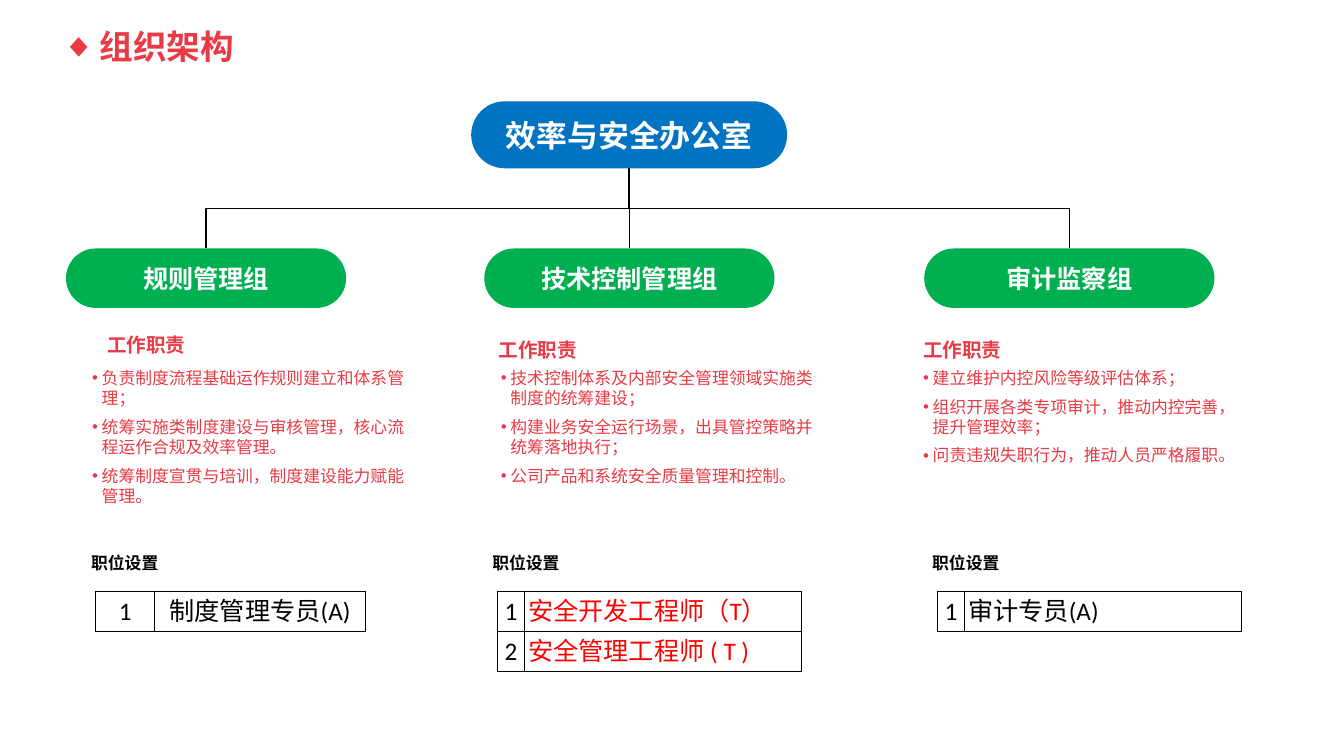
from dataclasses import dataclass

from pptx import Presentation
from pptx.dml.color import RGBColor
from pptx.enum.shapes import MSO_CONNECTOR, MSO_SHAPE
from pptx.enum.text import MSO_ANCHOR, MSO_AUTO_SIZE, PP_ALIGN
from pptx.oxml.ns import qn
from pptx.util import Inches, Pt
from lxml.etree import SubElement


@dataclass(frozen=True)
class Theme:
    latin: str = "Calibri"
    chinese: str = "Noto Sans CJK SC"
    accent: str = "E83B45"
    office: str = "0173C3"
    team: str = "00B050"
    white: str = "FFFFFF"
    black: str = "000000"
    highlight: str = "FF0000"
    title: int = 48
    office_size: int = 44
    team_size: int = 36
    heading: int = 28
    body: int = 24


@dataclass(frozen=True)
class Team:
    name: str
    left: float
    width: float
    heading: dict
    duties_box: tuple
    duties: list
    positions_left: float
    table_left: float
    columns: tuple
    positions: list
    position_format: dict


THEME = Theme()


def write(frame, lines, size, color, font=THEME.latin, bold=False,
          align=PP_ALIGN.LEFT, bullet=None, indent=0, gap=0, spacing=None):
    """Fill a text frame with one paragraph per line."""
    for index, line in enumerate(lines):
        paragraph = frame.paragraphs[0] if index == 0 else frame.add_paragraph()
        paragraph.alignment = align
        if spacing:
            paragraph.line_spacing = spacing
        if gap:
            paragraph.space_before = Pt(gap if index else 0)
            paragraph.space_after = Pt(gap)
        if bullet:
            properties = paragraph._p.get_or_add_pPr()
            properties.set("marL", str(Inches(indent)))
            properties.set("indent", str(-Inches(indent)))
            SubElement(properties, qn("a:buFont"), typeface="Arial")
            SubElement(properties, qn("a:buChar"), char=bullet)
        run = paragraph.add_run()
        run.text = line
        run.font.size = Pt(size)
        run.font.bold = bold
        run.font.name = font
        run.font.color.rgb = RGBColor.from_string(color)
        SubElement(run._r.get_or_add_rPr(), qn("a:ea"), typeface=font)


class Chart:
    """Draws the parts of an organisation chart on one slide."""

    def __init__(self, slide, theme):
        self.slide = slide
        self.theme = theme

    def label(self, left, top, width, height, lines, wrap=True,
              anchor=MSO_ANCHOR.TOP, inset=0.05, grow=True, **text_format):
        frame = self.slide.shapes.add_textbox(
            Inches(left), Inches(top), Inches(width), Inches(height)).text_frame
        frame.word_wrap = wrap
        frame.vertical_anchor = anchor
        frame.margin_top = frame.margin_bottom = Inches(inset)
        frame.auto_size = MSO_AUTO_SIZE.SHAPE_TO_FIT_TEXT if grow else MSO_AUTO_SIZE.NONE
        write(frame, lines, **text_format)

    def pill(self, left, top, width, height, name, fill, **text_format):
        pill = self.slide.shapes.add_shape(
            MSO_SHAPE.ROUNDED_RECTANGLE,
            Inches(left), Inches(top), Inches(width), Inches(height))
        pill.adjustments[0] = 0.5
        pill.shadow.inherit = False
        pill.fill.solid()
        pill.fill.fore_color.rgb = RGBColor.from_string(fill)
        pill.line.fill.background()
        pill.text_frame.vertical_anchor = MSO_ANCHOR.MIDDLE
        write(pill.text_frame, [name], color=self.theme.white, bold=True,
              align=PP_ALIGN.CENTER, **text_format)
        return pill

    def branch(self, parent, child):
        """Join the parent's bottom to the child's top: down, across, down."""
        line = self.slide.shapes.add_connector(MSO_CONNECTOR.ELBOW, 0, 0, 0, 0)
        line.begin_connect(parent, 2)
        line.end_connect(child, 0)
        start = parent.left + parent.width // 2
        end = child.left + child.width // 2
        top = parent.top + parent.height
        drop, span = child.top - top, abs(end - start)
        # An elbow leaves sideways, so its frame is turned by a quarter.
        line.left = (start + end - drop) // 2
        line.top = top + (drop - span) // 2
        line.width, line.height = drop, span
        frame = line._element.spPr.find(qn("a:xfrm"))
        frame.set("rot", str((90 if end < start else 270) * 60000))
        frame.set("flipH", "0" if end < start else "1")
        line.line.width = Pt(2)
        line.line.color.rgb = RGBColor.from_string(self.theme.black)
        SubElement(line._element.spPr, qn("a:effectLst"))

    def position_table(self, left, top, columns, positions, row_height=0.79, **name_format):
        table = self.slide.shapes.add_table(
            len(positions), len(columns), Inches(left), Inches(top),
            Inches(sum(columns)), Inches(row_height * len(positions))).table
        table.first_row = table.horz_banding = False
        for column, width in zip(table.columns, columns):
            column.width = Inches(width)
        number_format = dict(color=self.theme.black, align=PP_ALIGN.CENTER)
        for number, name in enumerate(positions, 1):
            table.rows[number - 1].height = Inches(row_height)
            for column, (text, text_format) in enumerate(
                    [(str(number), number_format), (name, name_format)]):
                cell = table.cell(number - 1, column)
                self.border(cell)
                cell.fill.background()
                cell.vertical_anchor = MSO_ANCHOR.MIDDLE
                cell.margin_left = cell.margin_right = Inches(0.07)
                cell.margin_top = cell.margin_bottom = Inches(0.05)
                write(cell.text_frame, [text], size=self.theme.team_size, **text_format)

    def border(self, cell):
        properties = cell._tc.get_or_add_tcPr()
        for side in ("lnL", "lnR", "lnT", "lnB"):
            edge = SubElement(properties, qn(f"a:{side}"), w=str(Pt(1)))
            fill = SubElement(edge, qn("a:solidFill"))
            SubElement(fill, qn("a:srgbClr"), val=self.theme.black)


TALL_HEADING = dict(top=6.43, width=1.99, height=0.72, font=THEME.chinese, spacing=1.5)
TEAMS = [
    Team("规则管理组", 1.31, 5.56,
         dict(left=2.03, top=6.55, width=1.94, height=0.57, gap=6),
         (1.73, 7.25, 6.48, 2.86),
         ["负责制度流程基础运作规则建立和体系管理；",
          "统筹实施类制度建设与审核管理，核心流程运作合规及效率管理。",
          "统筹制度宣贯与培训，制度建设能力赋能管理。"],
         1.71, 1.9, (1.17, 4.18), ["制度管理专员(A)"],
         dict(color=THEME.black, align=PP_ALIGN.CENTER)),
    Team("技术控制管理组", 9.61, 5.76, dict(left=9.8, **TALL_HEADING),
         (9.84, 7.25, 6.48, 2.46),
         ["技术控制体系及内部安全管理领域实施类制度的统筹建设；",
          "构建业务安全运行场景，出具管控策略并统筹落地执行；",
          "公司产品和系统安全质量管理和控制。"],
         9.67, 9.87, (0.54, 5.49), ["安全开发工程师（T）", "安全管理工程师 ( T )"],
         dict(color=THEME.highlight)),
    Team("审计监察组", 18.34, 5.76, dict(left=18.22, **TALL_HEADING),
         (18.22, 7.25, 6.55, 2.05),
         ["建立维护内控风险等级评估体系；",
          "组织开展各类专项审计，推动内控完善，提升管理效率；",
          "问责违规失职行为，推动人员严格履职。"],
         18.4, 18.6, (0.54, 5.49), ["审计专员(A)"], dict(color=THEME.black)),
]


def main():
    deck = Presentation()
    deck.slide_width, deck.slide_height = Inches(26.67), Inches(15)
    chart = Chart(deck.slides.add_slide(deck.slide_layouts[6]), THEME)

    chart.label(1.13, 0.5, 14.73, 0.93, ["组织架构"], anchor=MSO_ANCHOR.MIDDLE, grow=False,
                size=THEME.title, color=THEME.accent, font=THEME.chinese, bold=True,
                bullet="◆", indent=0.75, spacing=0.9)
    office = chart.pill(9.35, 2.01, 6.27, 1.33, "效率与安全办公室", THEME.office,
                        size=THEME.office_size, font=THEME.chinese)
    for team in TEAMS:
        group = chart.pill(team.left, 4.93, team.width, 1.18, team.name, THEME.team,
                           size=THEME.team_size)
        chart.branch(office, group)
        chart.label(lines=["工作职责"], size=THEME.heading, color=THEME.accent,
                    bold=True, **team.heading)
        chart.label(*team.duties_box, team.duties, size=THEME.body, color=THEME.accent,
                    bullet="•", indent=0.19, gap=6)
        chart.label(team.positions_left, 10.86, 1.55, 0.61, ["职位设置"], wrap=False,
                    inset=0.1, size=THEME.body, color=THEME.black, bold=True)
        chart.position_table(team.table_left, 11.74, team.columns, team.positions,
                             **team.position_format)
    deck.save("out.pptx")


if __name__ == "__main__":
    main()
